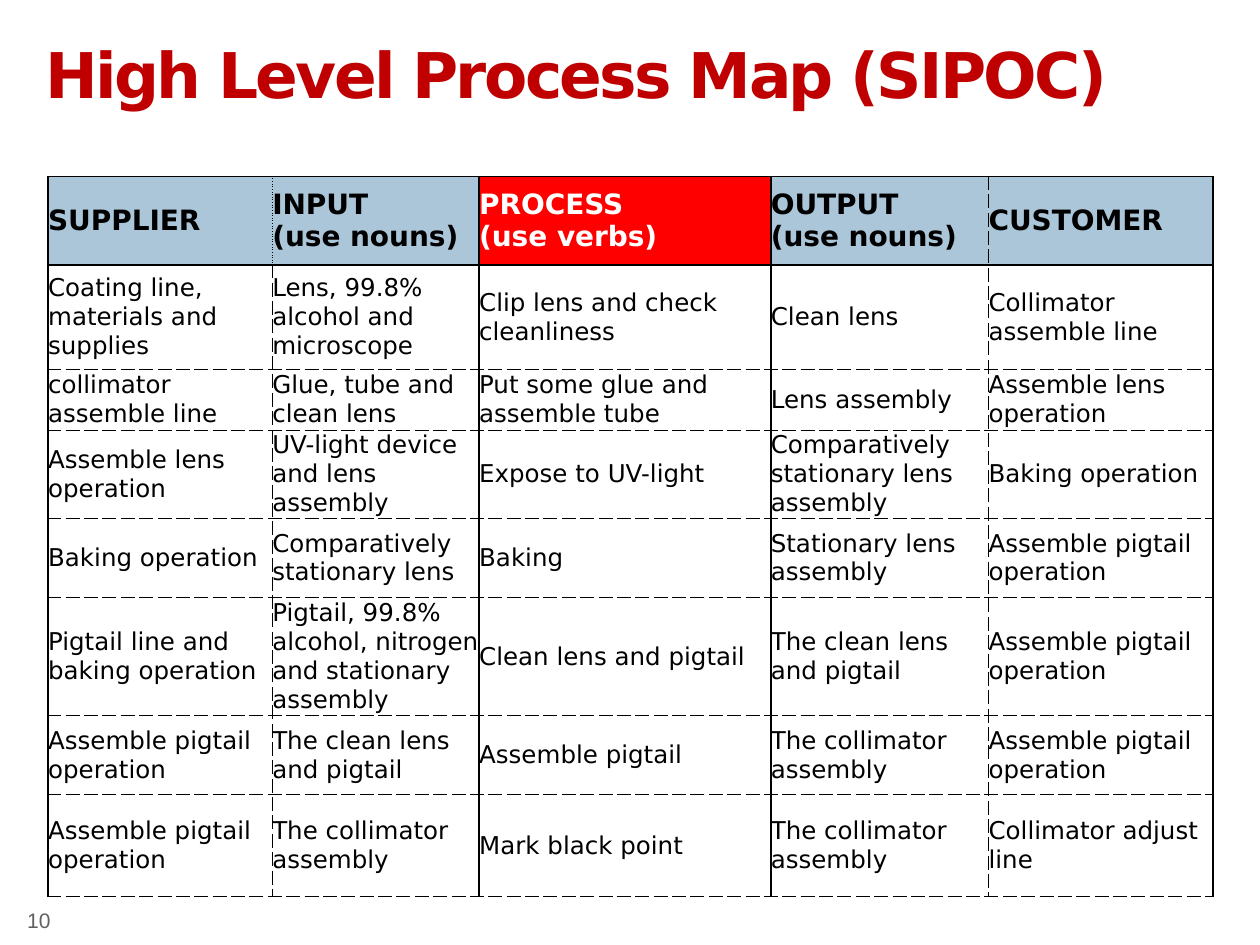
from itertools import product

from lxml.etree import SubElement
from pptx import Presentation
from pptx.dml.color import RGBColor
from pptx.enum.text import MSO_ANCHOR, PP_ALIGN
from pptx.oxml.ns import qn
from pptx.util import Cm, Pt

BLACK = RGBColor(0x00, 0x00, 0x00)
WHITE = RGBColor(0xFF, 0xFF, 0xFF)
RED = RGBColor(0xFF, 0x00, 0x00)
DARK_RED = RGBColor(0xC0, 0x00, 0x00)
STEEL_BLUE = RGBColor(0x64, 0x97, 0xBA)
GREY = RGBColor(0x60, 0x60, 0x60)

SOLID, DASH, DOT = (1, "solid"), (0.5, "dash"), (0.5, "sysDot")
PROCESS_COLUMN = 2

COLUMN_WIDTHS = [4.52, 4.17, 5.88, 4.39, 4.52]
ROW_HEIGHTS = [1.78, 2.11, 1.22, 1.78, 1.6, 2.37, 1.6, 2.05]
ROWS = [
    ["SUPPLIER", "INPUT\v(use nouns)", "PROCESS\v(use verbs)",
     "OUTPUT\v(use nouns)", "CUSTOMER"],
    ["Coating line, materials and supplies", "Lens, 99.8% alcohol and microscope",
     "Clip lens and check cleanliness", "Clean lens", "Collimator assemble line"],
    ["collimator assemble line", "Glue, tube and clean lens",
     "Put some glue and assemble tube", "Lens assembly", "Assemble lens operation"],
    ["Assemble lens operation", "UV-light device and lens assembly",
     "Expose to UV-light", "Comparatively stationary lens assembly",
     "Baking operation"],
    ["Baking operation", "Comparatively stationary lens", "Baking",
     "Stationary lens assembly", "Assemble pigtail operation"],
    ["Pigtail line and baking operation",
     "Pigtail, 99.8% alcohol, nitrogen and stationary assembly",
     "Clean lens and pigtail", "The clean lens and pigtail",
     "Assemble pigtail operation"],
    ["Assemble pigtail operation", "The clean lens and pigtail",
     "Assemble pigtail", "The collimator assembly", "Assemble pigtail operation"],
    ["Assemble pigtail operation", "The collimator assembly",
     "Mark black point", "The collimator assembly", "Collimator adjust line"],
]


def style_text(paragraph, name, size, color, bold=False):
    font = paragraph.font
    font.name, font.size, font.bold = name, Pt(size), bold
    font.color.rgb = color


def add_border(cell, side, width, dash):
    line = SubElement(cell._tc.get_or_add_tcPr(), qn(f"a:ln{side}"),
                      w=str(Pt(width)))
    fill = SubElement(line, qn("a:solidFill"))
    SubElement(fill, qn("a:srgbClr"), val=str(BLACK))
    SubElement(line, qn("a:prstDash"), val=dash)


presentation = Presentation()
presentation.slide_width, presentation.slide_height = Cm(25.4), Cm(19.05)
slide = presentation.slides.add_slide(presentation.slide_layouts[6])

# Title
title = slide.shapes.add_textbox(Cm(0.66), Cm(0.66), Cm(24.1), Cm(2.11))
title.text_frame.word_wrap = True
paragraph = title.text_frame.paragraphs[0]
run = paragraph.add_run()
run.text = "High Level Process Map (SIPOC)"
run._r.get_or_add_rPr().set("spc", "-150")
paragraph.line_spacing = Pt(41)
style_text(paragraph, "DejaVu Sans", 36, DARK_RED, bold=True)

# Page number
number = slide.shapes.add_textbox(Cm(0), Cm(18.03), Cm(1.27), Cm(1.02))
number.text_frame.word_wrap = True
number.text_frame.vertical_anchor = MSO_ANCHOR.MIDDLE
paragraph = number.text_frame.paragraphs[0]
paragraph.text = "10"
paragraph.alignment = PP_ALIGN.RIGHT
style_text(paragraph, "Arial", 12, GREY)

# Process table
table = slide.shapes.add_table(
    len(ROWS), len(COLUMN_WIDTHS), Cm(0.97), Cm(3.56),
    Cm(sum(COLUMN_WIDTHS)), Cm(sum(ROW_HEIGHTS))).table
table.first_row = table.horz_banding = False
for column, width in zip(table.columns, COLUMN_WIDTHS):
    column.width = Cm(width)
for row, height in zip(table.rows, ROW_HEIGHTS):
    row.height = Cm(height)

for row, column in product(range(len(ROWS)), range(len(COLUMN_WIDTHS))):
    cell = table.cell(row, column)
    is_header = row == 0
    is_process = column == PROCESS_COLUMN

    # Vertical rules from left to right, then the rules above and below
    verticals = [SOLID, DOT if is_header else DASH, SOLID, SOLID, DASH, SOLID]
    add_border(cell, "L", *verticals[column])
    add_border(cell, "R", *verticals[column + 1])
    add_border(cell, "T", *(SOLID if row <= 1 else DASH))
    add_border(cell, "B", *(SOLID if is_header else DASH))

    # Fill, with see-through blue in the header
    if is_header:
        cell.fill.solid()
        cell.fill.fore_color.rgb = RED if is_process else STEEL_BLUE
        if not is_process:
            color = cell._tc.tcPr.find(qn("a:solidFill")).find(qn("a:srgbClr"))
            SubElement(color, qn("a:alpha"), val="54000")
    else:
        cell.fill.background()

    # Text
    cell.margin_left = cell.margin_right = Cm(0)
    cell.margin_top = cell.margin_bottom = Cm(0)
    cell.vertical_anchor = MSO_ANCHOR.MIDDLE
    paragraph = cell.text_frame.paragraphs[0]
    paragraph.text = ROWS[row][column]
    style_text(paragraph, "DejaVu Sans", 16 if is_header else 14,
               WHITE if is_header and is_process else BLACK, bold=is_header)

presentation.save("out.pptx")
